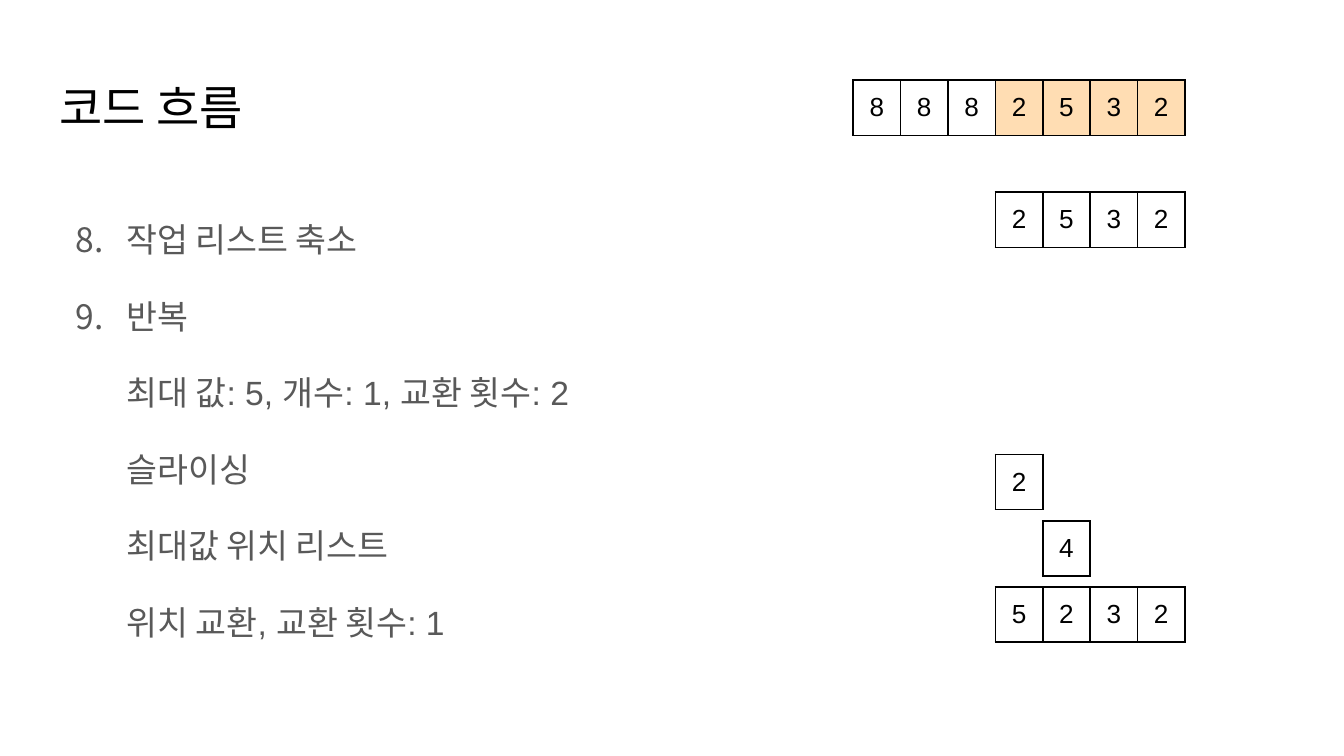
"""Build the code flow slide with its list steps and array tables."""
from lxml.etree import SubElement
from pptx import Presentation
from pptx.dml.color import RGBColor
from pptx.enum.text import MSO_ANCHOR, MSO_AUTO_SIZE, PP_ALIGN
from pptx.oxml.ns import qn
from pptx.util import Pt

BLACK = RGBColor(0x00, 0x00, 0x00)
GRAY = RGBColor(0x59, 0x59, 0x59)
ORANGE = RGBColor(0xFF, 0xDD, 0xB3)

CELL_WIDTH, CELL_HEIGHT = 25.4, 29.5
ARRAY_LEFT = 457
SLICE_TOP, SLICE_PITCH = 243.5, 35.5


def style_font(paragraph, size, color):
    paragraph.font.name = "Arial"
    paragraph.font.size = Pt(size)
    paragraph.font.color.rgb = color


def add_border(cell):
    properties = cell._tc.get_or_add_tcPr()
    for side in ("a:lnL", "a:lnR", "a:lnT", "a:lnB"):
        line = SubElement(properties, qn(side), w=str(Pt(1)))
        fill = SubElement(line, qn("a:solidFill"))
        SubElement(fill, qn("a:srgbClr"), val=str(BLACK))


presentation = Presentation()
presentation.slide_width, presentation.slide_height = Pt(720), Pt(405)
slide = presentation.slides.add_slide(presentation.slide_layouts[1])

heading, steps = slide.shapes.title, slide.placeholders[1]
for placeholder, top, height in ((heading, 35, 45), (steps, 90.75, 269)):
    placeholder.left, placeholder.top = Pt(24.5), Pt(top)
    placeholder.width, placeholder.height = Pt(671), Pt(height)
    frame = placeholder.text_frame
    frame.margin_left = frame.margin_right = Pt(7.2)
    frame.margin_top = frame.margin_bottom = Pt(7.2)
    frame.vertical_anchor = MSO_ANCHOR.TOP
    frame.auto_size = MSO_AUTO_SIZE.NONE
    frame.word_wrap = True

heading.text_frame.text = "코드 흐름"
heading.text_frame.paragraphs[0].alignment = PP_ALIGN.LEFT
style_font(heading.text_frame.paragraphs[0], 25.2, BLACK)

repeat_step = "\v".join([
    "반복",
    "최대 값: 5, 개수: 1, 교환 횟수: 2",
    "슬라이싱",
    "최대값 위치 리스트",
    "위치 교환, 교환 횟수: 1",
])
steps.text_frame.text = "작업 리스트 축소\n" + repeat_step
for step in steps.text_frame.paragraphs:
    step.line_spacing = 1.9
    step.space_before = step.space_after = Pt(0)
    indents = step._p.get_or_add_pPr()
    indents.set("marL", str(Pt(36)))
    indents.set("indent", str(-Pt(27)))
    number_color = SubElement(indents, qn("a:buClr"))
    SubElement(number_color, qn("a:srgbClr"), val=str(GRAY))
    SubElement(indents, qn("a:buAutoNum"), type="arabicPeriod", startAt="8")
    style_font(step, 18, GRAY)

arrays = [
    (0, 43, "8882532", 3),
    (3, 103, "2532", None),
    (3, SLICE_TOP, "2", None),
    (4, SLICE_TOP + SLICE_PITCH, "4", None),
    (3, SLICE_TOP + 2 * SLICE_PITCH, "5232", None),
]
for first_column, top, digits, shaded_from in arrays:
    array = slide.shapes.add_table(
        1, len(digits), Pt(ARRAY_LEFT + first_column * CELL_WIDTH), Pt(top),
        Pt(CELL_WIDTH * len(digits)), Pt(CELL_HEIGHT)).table
    array.first_row = array.horz_banding = False
    for index, digit in enumerate(digits):
        array.columns[index].width = Pt(CELL_WIDTH)
        cell = array.cell(0, index)
        cell.text = digit
        cell.vertical_anchor = MSO_ANCHOR.MIDDLE
        cell.text_frame.paragraphs[0].alignment = PP_ALIGN.CENTER
        style_font(cell.text_frame.paragraphs[0], 14, BLACK)
        add_border(cell)
        if shaded_from is not None and index >= shaded_from:
            cell.fill.solid()
            cell.fill.fore_color.rgb = ORANGE
        else:
            cell.fill.background()

presentation.save("out.pptx")
